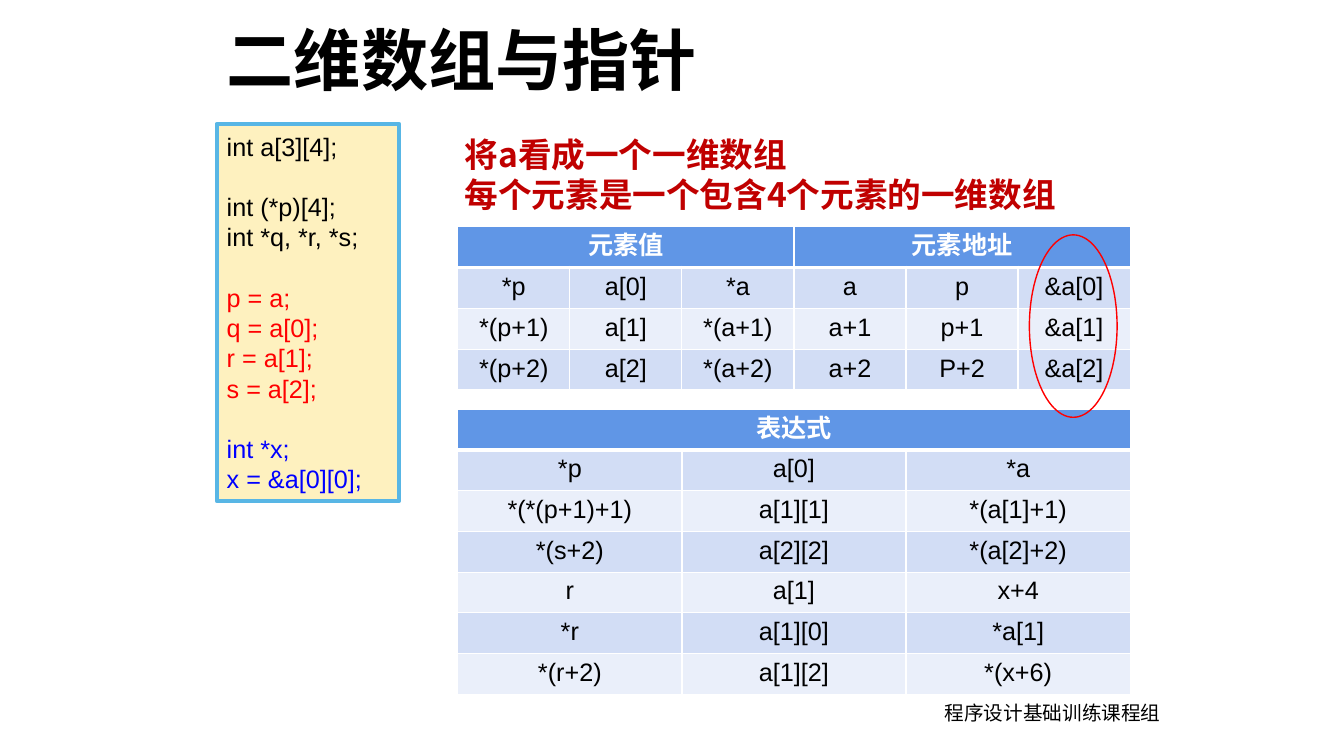
from dataclasses import dataclass

from lxml.etree import SubElement
from pptx import Presentation
from pptx.dml.color import RGBColor as Color
from pptx.enum.shapes import MSO_SHAPE as Shape
from pptx.enum.text import MSO_ANCHOR as Anchor, PP_ALIGN as Align
from pptx.oxml.ns import qn
from pptx.util import Inches, Pt


@dataclass(frozen=True)
class Theme:
    """Colours, fonts and type sizes of the slide."""
    black: str = "000000"
    white: str = "FFFFFF"
    red: str = "FF0000"
    blue: str = "0000FF"
    heading: str = "C00000"
    header: str = "6096E6"
    bands: tuple = ("D2DDF5", "EAEFFA")
    code_fill: str = "FEF1BF"
    code_line: str = "58B6E5"
    latin: str = "Arial"
    chinese: str = "Noto Sans CJK SC"
    title_size: int = 48
    heading_size: int = 24
    body_size: int = 18
    footer_size: int = 14
    heading_pitch: float = 28.6
    code_pitch: float = 21.6


THEME = Theme()
CODE_BLOCKS = [
    (THEME.black, ["int a[3][4];"]),
    (THEME.black, ["int (*p)[4];", "int *q, *r, *s;"]),
    (THEME.red, ["p = a;", "q = a[0];", "r = a[1];", "s = a[2];"]),
    (THEME.blue, ["int *x;", "x = &a[0][0];"]),
]
ELEMENT_ROWS = [
    ["*p", "a[0]", "*a", "a", "p", "&a[0]"],
    ["*(p+1)", "a[1]", "*(a+1)", "a+1", "p+1", "&a[1]"],
    ["*(p+2)", "a[2]", "*(a+2)", "a+2", "P+2", "&a[2]"],
]
EXPRESSION_ROWS = [
    ["*p", "a[0]", "*a"],
    ["*(*(p+1)+1)", "a[1][1]", "*(a[1]+1)"],
    ["*(s+2)", "a[2][2]", "*(a[2]+2)"],
    ["r", "a[1]", "x+4"],
    ["*r", "a[1][0]", "*a[1]"],
    ["*(r+2)", "a[1][2]", "*(x+6)"],
]


def write(para, text, size=THEME.body_size, color=THEME.black, font=THEME.latin,
          bold=False, align=None, pitch=None, before=None):
    """Write one formatted span of text into a paragraph."""
    para.alignment = align
    if pitch:
        para.line_spacing = Pt(pitch)
    if before:
        para.space_before = Pt(before)
    span = para.add_run()
    span.text = text
    span.font.size = Pt(size)
    span.font.bold = bold
    span.font.name = font
    span.font.color.rgb = Color.from_string(color)
    SubElement(span.font._element, qn("a:ea"), typeface=font)


def next_para(frame):
    """Return the unused first paragraph of a frame, or a new one."""
    first = frame.paragraphs[0]
    return frame.add_paragraph() if first.runs else first


def add_text(page, place, lines, **style):
    """Add a text box with one paragraph for each line."""
    box = page.shapes.add_textbox(*map(Inches, place))
    box.text_frame.word_wrap = True
    for line in lines:
        write(next_para(box.text_frame), line, **style)


def add_outline(page, kind, place, line, width, fill=None):
    """Add a preset shape with an outline and an optional fill."""
    shape = page.shapes.add_shape(kind, *map(Inches, place))
    shape.shadow.inherit = False
    shape.line.color.rgb = Color.from_string(line)
    shape.line.width = Pt(width)
    if fill:
        shape.fill.solid()
        shape.fill.fore_color.rgb = Color.from_string(fill)
    else:
        shape.fill.background()
    return shape


def add_code(page, place, blocks):
    """Add the code panel, with a line of space between blocks."""
    panel = add_outline(page, Shape.RECTANGLE, place, THEME.code_line, 3, THEME.code_fill)
    frame = panel.text_frame
    frame.word_wrap = True
    frame.vertical_anchor = Anchor.MIDDLE
    for number, (color, lines) in enumerate(blocks):
        for index, line in enumerate(lines):
            gap = THEME.code_pitch if number and index == 0 else None
            write(next_para(frame), line, color=color, align=Align.LEFT,
                  pitch=THEME.code_pitch, before=gap)


def style_cell(cell, fill, top, bottom):
    """Fill a cell and draw its white borders."""
    properties = cell._tc.get_or_add_tcPr()
    for side, width in (("L", 1), ("R", 1), ("T", top), ("B", bottom)):
        border = SubElement(properties, qn(f"a:ln{side}"), w=str(Pt(width)))
        SubElement(SubElement(border, qn("a:solidFill")), qn("a:srgbClr"), val=THEME.white)
    cell.fill.solid()
    cell.fill.fore_color.rgb = Color.from_string(fill)


def add_grid(page, place, headers, rows):
    """Add a banded table whose headers each span an equal share of columns."""
    count = len(rows[0])
    share = count // len(headers)
    table = page.shapes.add_table(len(rows) + 1, count, *map(Inches, place)).table
    for index in range(count):
        style_cell(table.cell(0, index), THEME.header, 1, 3)
    for index, header in enumerate(headers):
        first = table.cell(0, index * share)
        first.merge(table.cell(0, (index + 1) * share - 1))
        write(first.text_frame.paragraphs[0], header, color=THEME.white,
              bold=True, align=Align.CENTER)
    for number, row in enumerate(rows):
        for index, text in enumerate(row):
            cell = table.cell(number + 1, index)
            style_cell(cell, THEME.bands[number % 2], 1 if number else 3, 1)
            write(cell.text_frame.paragraphs[0], text, align=Align.CENTER)


def main():
    """Build the slide and save the deck."""
    deck = Presentation()
    deck.slide_width, deck.slide_height = Inches(13.33), Inches(7.5)
    page = deck.slides.add_slide(deck.slide_layouts[6])
    add_text(page, (9.27, 6.9, 2.36, 0.34), ["程序设计基础训练课程组"],
             size=THEME.footer_size, font=THEME.chinese)
    add_grid(page, (4.54, 2.25, 6.67, 1.62), ["元素值", "元素地址"], ELEMENT_ROWS)
    add_code(page, (2.15, 1.23, 1.81, 3.74), CODE_BLOCKS)
    add_grid(page, (4.54, 4.06, 6.67, 2.83), ["表达式"], EXPRESSION_ROWS)
    add_text(page, (4.51, 1.28, 6.88, 0.91),
             ["将a看成一个一维数组", "每个元素是一个包含4个元素的一维数组"],
             size=THEME.heading_size, color=THEME.heading, font=THEME.chinese,
             bold=True, pitch=THEME.heading_pitch)
    add_outline(page, Shape.OVAL, (10.21, 2.33, 0.87, 1.81), THEME.red, 1)
    add_text(page, (2.15, 0.13, 5.7, 0.91), ["二维数组与指针"],
             size=THEME.title_size, bold=True)
    deck.save("out.pptx")


if __name__ == "__main__":
    main()
